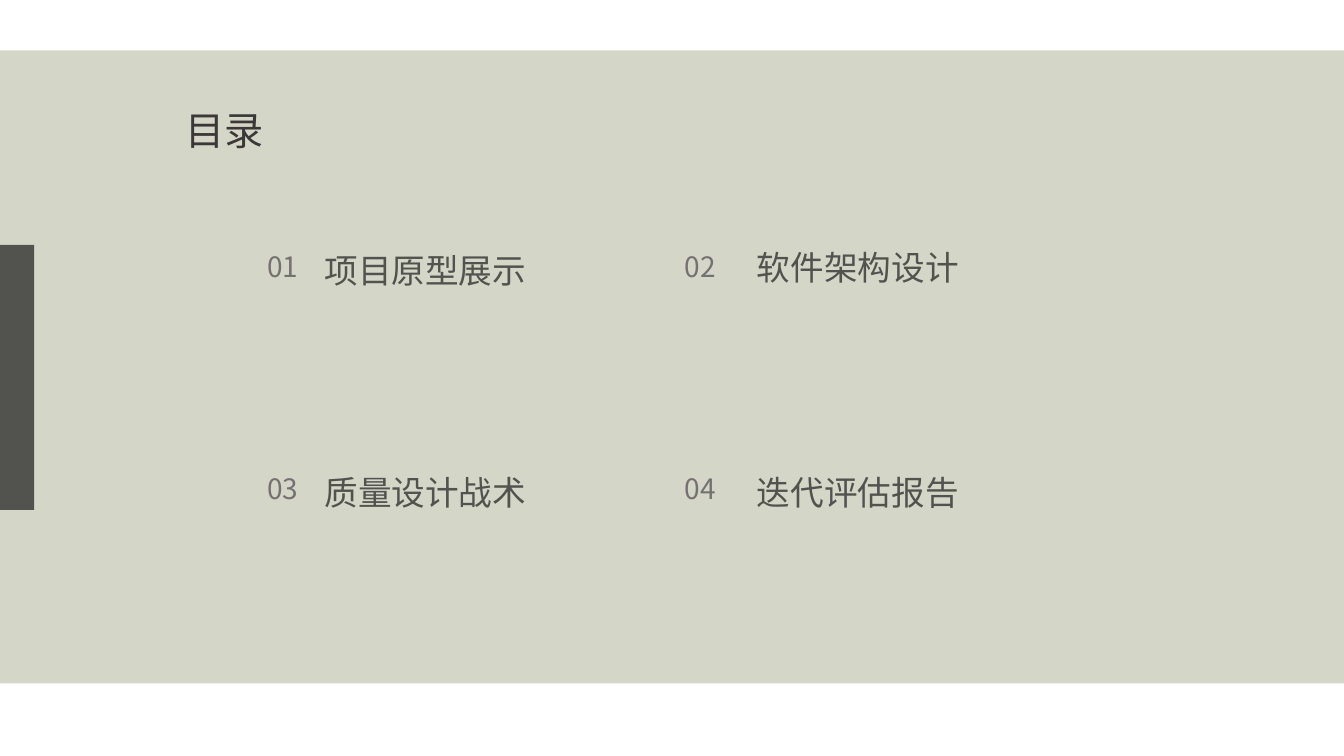
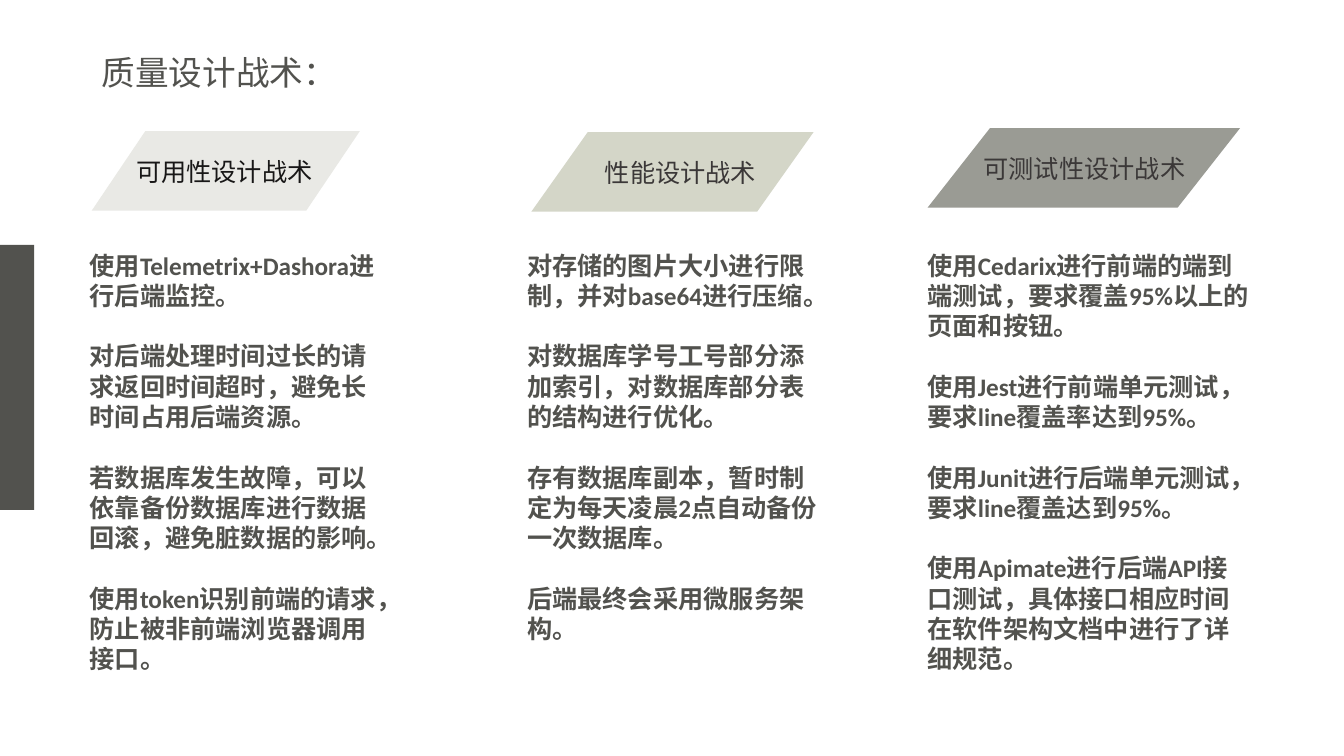
from lxml.etree import SubElement
from pptx import Presentation
from pptx.dml.color import RGBColor
from pptx.enum.shapes import MSO_SHAPE as Shape
from pptx.enum.text import MSO_AUTO_SIZE as AutoSize, PP_ALIGN as Align
from pptx.oxml.ns import qn
from pptx.util import Inches, Pt

COLORS = {
    "sage": "D4D6C8",
    "mist": "E9E9E5",
    "stone": "9A9B94",
    "charcoal": "52524E",
    "heading": "3B3838",
    "black": "181717",
    "number": "767171",
}
CJK_FONT = "Noto Sans CJK SC"
LATIN_FONT = "Calibri"
BODY_TOP = 2.43

# Agenda: number, label, column, label top
AGENDA_COLUMNS = [(2.55, 3.12), (6.69, 7.41)]  # number left, label left
AGENDA_ROWS = [2.43, 4.63]
AGENDA_ITEMS = [
    ("项目原型展示", 0),
    ("软件架构设计", -0.03),
    ("质量设计战术", 0),
    ("迭代评估报告", 0),
]

# Tactics: header shape, header label and body of each column
TACTICS = [
    {
        "label": "可用性设计战术", "fill": "mist", "color": "black",
        "header": (0.91, 1.3, 2.66), "label_span": (1.04, 2.37),
        "body_span": (0.79, 3.08),
        "body": [
            "使用Telemetrix+Dashora进行后端监控。",
            "对后端处理时间过长的请求返回时间超时，避免长时间占用后端资源。",
            "若数据库发生故障，可以依靠备份数据库进行数据回滚，避免脏数据的影响。",
            "使用token识别前端的请求，防止被非前端浏览器调用接口。",
        ],
    },
    {
        "label": "性能设计战术", "fill": "sage", "color": "heading",
        "header": (5.27, 1.31, 2.8), "label_span": (5.65, 2.2),
        "body_span": (5.13, 3.08),
        "body": [
            "对存储的图片大小进行限制，并对base64进行压缩。",
            "对数据库学号工号部分添加索引，对数据库部分表的结构进行优化。",
            "存有数据库副本，暂时制定为每天凌晨2点自动备份一次数据库。",
            "后端最终会采用微服务架构。",
        ],
    },
    {
        "label": "可测试性设计战术", "fill": "stone", "color": "heading",
        "header": (9.2, 1.27, 3.1), "label_span": (9.51, 2.49),
        "body_span": (9.1, 3.41),
        "body": [
            "使用Cedarix进行前端的端到端测试，要求覆盖95%以上的页面和按钮。",
            "使用Jest进行前端单元测试，要求line覆盖率达到95%。",
            "使用Junit进行后端单元测试，要求line覆盖达到95%。",
            "使用Apimate进行后端API接口测试，具体接口相应时间在软件架构文档中进行了详细规范。",
        ],
    },
]


def add_block(slide, kind, left, top, width, height, fill):
    """Add a flat, borderless shape."""
    shape = slide.shapes.add_shape(
        kind, Inches(left), Inches(top), Inches(width), Inches(height))
    shape.shadow.inherit = False
    shape.fill.solid()
    shape.fill.fore_color.rgb = RGBColor.from_string(COLORS[fill])
    shape.line.fill.background()


def add_text(slide, left, top, width, height, lines, size, color,
             font=CJK_FONT, bold=False, align=Align.LEFT, gap=0):
    """Add a text box with one paragraph per line, gap points apart."""
    box = slide.shapes.add_textbox(
        Inches(left), Inches(top), Inches(width), Inches(height))
    frame = box.text_frame
    frame.word_wrap = True
    frame.auto_size = AutoSize.SHAPE_TO_FIT_TEXT
    frame.text = "\n".join(lines)
    for index, paragraph in enumerate(frame.paragraphs):
        paragraph.alignment = align
        if index:
            paragraph.space_before = Pt(gap)
        paragraph.font.size = Pt(size)
        paragraph.font.bold = bold
        paragraph.font.color.rgb = RGBColor.from_string(COLORS[color])
        paragraph.font.name = font
        # East Asian typeface
        defaults = paragraph._p.pPr.find(qn("a:defRPr"))
        SubElement(defaults, qn("a:ea"), typeface=CJK_FONT)


def add_side_tab(slide):
    add_block(slide, Shape.RECTANGLE, 0, 2.43, 0.34, 2.63, "charcoal")


def build_agenda(slide):
    # Background band, side tab and title
    add_block(slide, Shape.RECTANGLE, 0, 0.5, 13.33, 6.28, "sage")
    add_side_tab(slide)
    add_text(slide, 1.74, 1.01, 1.53, 0.57, ["目录"], 28, "heading")
    # Numbered entries, two per row
    for index, (label, shift) in enumerate(AGENDA_ITEMS):
        row, column = divmod(index, 2)
        top = AGENDA_ROWS[row]
        number_left, label_left = AGENDA_COLUMNS[column]
        add_text(slide, number_left, top, 0.72, 0.44,
                 [f"{index + 1:02}"], 20, "number")
        add_text(slide, label_left, top + shift, 3.3, 0.5,
                 [label], 24, "charcoal")


def add_tactic(slide, tactic):
    """Add one column: slanted header, its label and the body text."""
    left, top, width = tactic["header"]
    add_block(slide, Shape.FLOWCHART_DATA, left, top, width, 0.79,
              tactic["fill"])
    label_left, label_width = tactic["label_span"]
    add_text(slide, label_left, top + 0.2, label_width, 0.4,
             [tactic["label"]], 18, tactic["color"], LATIN_FONT,
             align=Align.CENTER)
    body_left, body_width = tactic["body_span"]
    add_text(slide, body_left, BODY_TOP, body_width, 4.34, tactic["body"],
             18, "charcoal", LATIN_FONT, bold=True, gap=21.7)


def build_tactics(slide):
    add_side_tab(slide)
    add_text(slide, 0.91, 0.47, 7.86, 0.5, ["质量设计战术："], 24, "charcoal")
    for tactic in TACTICS:
        add_tactic(slide, tactic)


def main():
    presentation = Presentation()
    presentation.slide_width = Inches(13.33)
    presentation.slide_height = Inches(7.5)
    blank = presentation.slide_layouts[6]
    for build in (build_agenda, build_tactics):
        build(presentation.slides.add_slide(blank))
    presentation.save("out.pptx")


if __name__ == "__main__":
    main()
